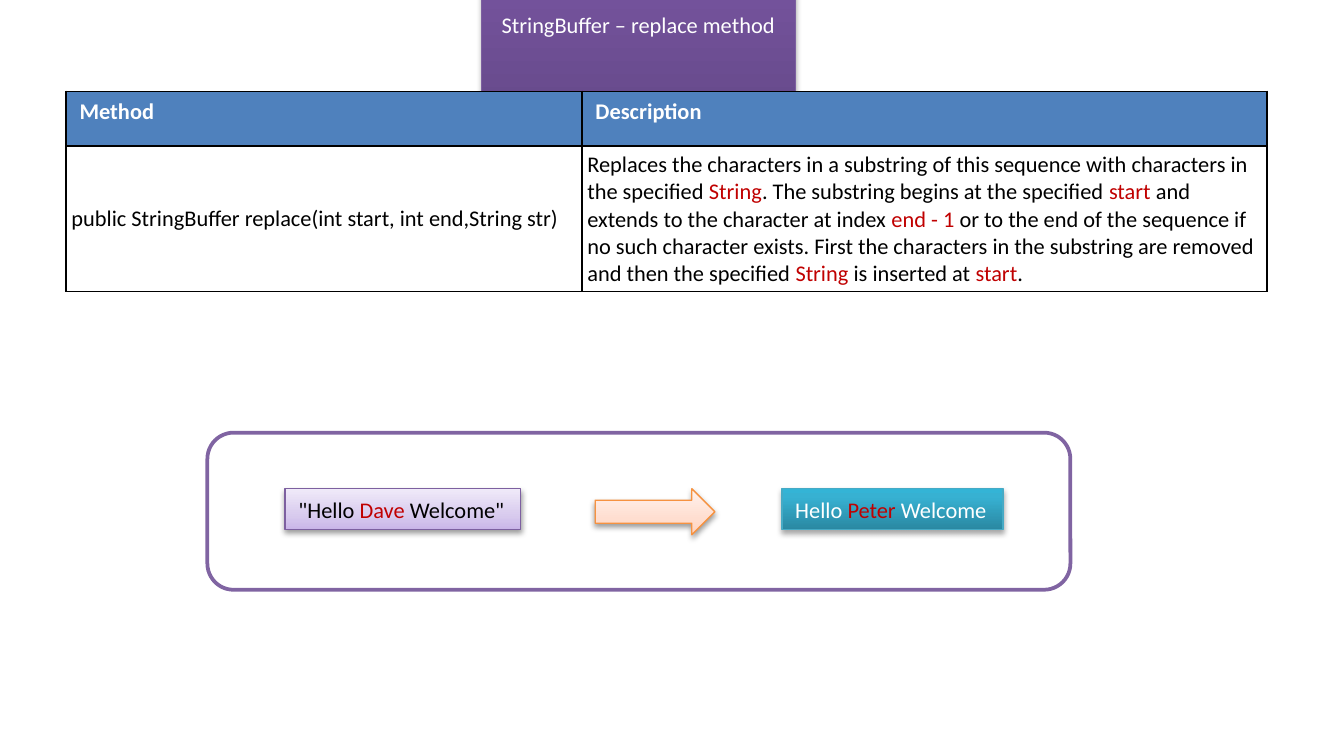
from lxml import etree
from pptx import Presentation
from pptx.dml.color import RGBColor
from pptx.enum.shapes import MSO_SHAPE
from pptx.enum.text import MSO_ANCHOR, MSO_AUTO_SIZE, PP_ALIGN
from pptx.oxml.ns import qn
from pptx.util import Cm, Pt

RECT, ROUND_RECT = MSO_SHAPE.RECTANGLE, MSO_SHAPE.ROUNDED_RECTANGLE
RIGHT_ARROW = MSO_SHAPE.RIGHT_ARROW
LEFT, CENTER = PP_ALIGN.LEFT, PP_ALIGN.CENTER
TOP, MIDDLE = MSO_ANCHOR.TOP, MSO_ANCHOR.MIDDLE
FIT_SHAPE = MSO_AUTO_SIZE.SHAPE_TO_FIT_TEXT


def rgb(value):
    return RGBColor.from_string(value)


def add_xml(parent, tag, **attrs):
    return etree.SubElement(parent, qn(tag), {k: str(v) for k, v in attrs.items()})


def write(tf, text, color="000000", accent="C00000", bold=False, align=LEFT):
    """Write one paragraph; parts between bars take the accent colour."""
    p = tf.paragraphs[0]
    p.alignment = align
    for i, part in enumerate(text.split("|")):
        r = p.add_run()
        r.text = part
        r.font.name, r.font.size, r.font.bold = "Calibri", Pt(12), bold
        r.font.color.rgb = rgb(accent if i % 2 else color)


class SlideBuilder:
    # Gradient stops run from bottom to top
    PURPLE = ((0, "5F4480"), (80, "7B58A6"), (100, "7C57A8"))
    LILAC = ((0, "C9B5E8"), (35, "D8CBEE"), (100, "F0EAF9"))
    TEAL = ((0, "2A88A2"), (80, "37B1D2"), (100, "34B4D6"))
    PEACH = ((0, "FFD2BD"), (35, "FFDED0"), (100, "FFF2ED"))
    HEADER, WHITE, BLACK = "4F81BD", "FFFFFF", "000000"

    def __init__(self, s):
        self.s = s

    def gradient(self, sp, stops, line, alpha, distance):
        """Give a shape a vertical gradient, a thin line and a soft shadow."""
        sp.fill.gradient()
        sp.fill.gradient_angle = 90
        spPr = sp._element.spPr
        gs_list = spPr.find(qn("a:gradFill")).find(qn("a:gsLst"))
        gs_list.clear()
        for position, color in stops:
            gs = add_xml(gs_list, "a:gs", pos=position * 1000)
            add_xml(gs, "a:srgbClr", val=color)
        self.outline(sp, line, 0.75)
        shadow = add_xml(spPr.find(qn("a:effectLst")), "a:outerShdw", blurRad=Pt(3.1),
                         dist=Pt(distance), dir=5400000, rotWithShape=0)
        color = add_xml(shadow, "a:srgbClr", val=self.BLACK)
        add_xml(color, "a:alpha", val=alpha * 1000)

    def outline(self, sp, color, width):
        sp.line.color.rgb = rgb(color)
        sp.line.width = Pt(width)
        sp.shadow.inherit = False

    def shape(self, kind, x, y, w, h):
        return self.s.shapes.add_shape(kind, Cm(x), Cm(y), Cm(w), Cm(h))

    def title(self, text, x, y, w, h):
        sp = self.s.shapes.title
        sp.left, sp.top, sp.width, sp.height = Cm(x), Cm(y), Cm(w), Cm(h)
        self.gradient(sp, self.PURPLE, "7D60A0", 35, 1.8)
        tf = sp.text_frame
        tf.word_wrap, tf.auto_size, tf.vertical_anchor = True, FIT_SHAPE, MIDDLE
        write(tf, text, color=self.WHITE, align=CENTER)

    def frame(self, x, y, w, h):
        sp = self.shape(ROUND_RECT, x, y, w, h)
        sp.fill.solid()
        sp.fill.fore_color.rgb = rgb(self.WHITE)
        self.outline(sp, "8064A2", 2)

    def label(self, text, x, y, w, h, stops, line, color, alpha, distance):
        sp = self.shape(RECT, x, y, w, h)
        self.gradient(sp, stops, line, alpha, distance)
        tf = sp.text_frame
        tf.word_wrap, tf.auto_size = False, FIT_SHAPE
        write(tf, text, color=color)

    def arrow(self, x, y, w, h):
        sp = self.shape(RIGHT_ARROW, x, y, w, h)
        self.gradient(sp, self.PEACH, "F69240", 38, 1.6)

    def cell(self, cell, text, header):
        tcPr = cell._tc.get_or_add_tcPr()
        for side in ("a:lnL", "a:lnR", "a:lnT", "a:lnB"):
            ln = add_xml(tcPr, side, w=Pt(1))
            add_xml(add_xml(ln, "a:solidFill"), "a:srgbClr", val=self.BLACK)
        cell.fill.solid()
        cell.fill.fore_color.rgb = rgb(self.HEADER if header else self.WHITE)
        cell.vertical_anchor = TOP if header else MIDDLE
        if not header:
            cell.margin_left = cell.margin_right = Cm(0.1)
            cell.margin_top = cell.margin_bottom = Cm(0.1)
        write(cell.text_frame, text, color=self.WHITE if header else self.BLACK,
              bold=header)

    def table(self, rows, x, y, widths, heights):
        table = self.s.shapes.add_table(len(rows), len(widths), Cm(x), Cm(y),
                                        Cm(sum(widths)), Cm(sum(heights))).table
        table.horz_banding = False
        for column, width in zip(table.columns, widths):
            column.width = Cm(width)
        for i, (row, height) in enumerate(zip(rows, heights)):
            table.rows[i].height = Cm(height)
            for j, text in enumerate(row):
                self.cell(table.cell(i, j), text, header=i == 0)


METHODS = [
    ("Method", "Description"),
    ("public StringBuffer replace(int start, int end,String str)",
     "Replaces the characters in a substring of this sequence with characters in "
     "the specified |String|. The substring begins at the specified |start| and "
     "extends to the character at index |end - 1| or to the end of the sequence if "
     "no such character exists. First the characters in the substring are removed "
     "and then the specified |String| is inserted at |start|."),
]


def main():
    prs = Presentation()
    prs.slide_width, prs.slide_height = Cm(25.4), Cm(13.97)
    b = SlideBuilder(prs.slides.add_slide(prs.slide_layouts[5]))

    # Title and method table
    b.title("StringBuffer – replace method", 9.1, 0.07, 5.93, 0.77)
    b.table(METHODS, 1.25, 1.73, widths=(9.75, 12.95), heights=(1.03, 2.75))

    # Example: text before and after the replacement
    row_y, label_h = 9.24, 0.77
    b.frame(3.92, 8.18, 16.31, 2.97)
    b.label('"Hello |Dave| Welcome"', 5.39, row_y, 4.45, label_h,
            b.LILAC, "7D60A0", b.BLACK, alpha=38, distance=1.6)
    b.label("Hello |Peter| Welcome", 14.78, row_y, 4.18, label_h,
            b.TEAL, "46AAC5", b.WHITE, alpha=35, distance=1.8)
    b.arrow(11.25, row_y, 2.26, 0.87)

    prs.save("out.pptx")


if __name__ == "__main__":
    main()
